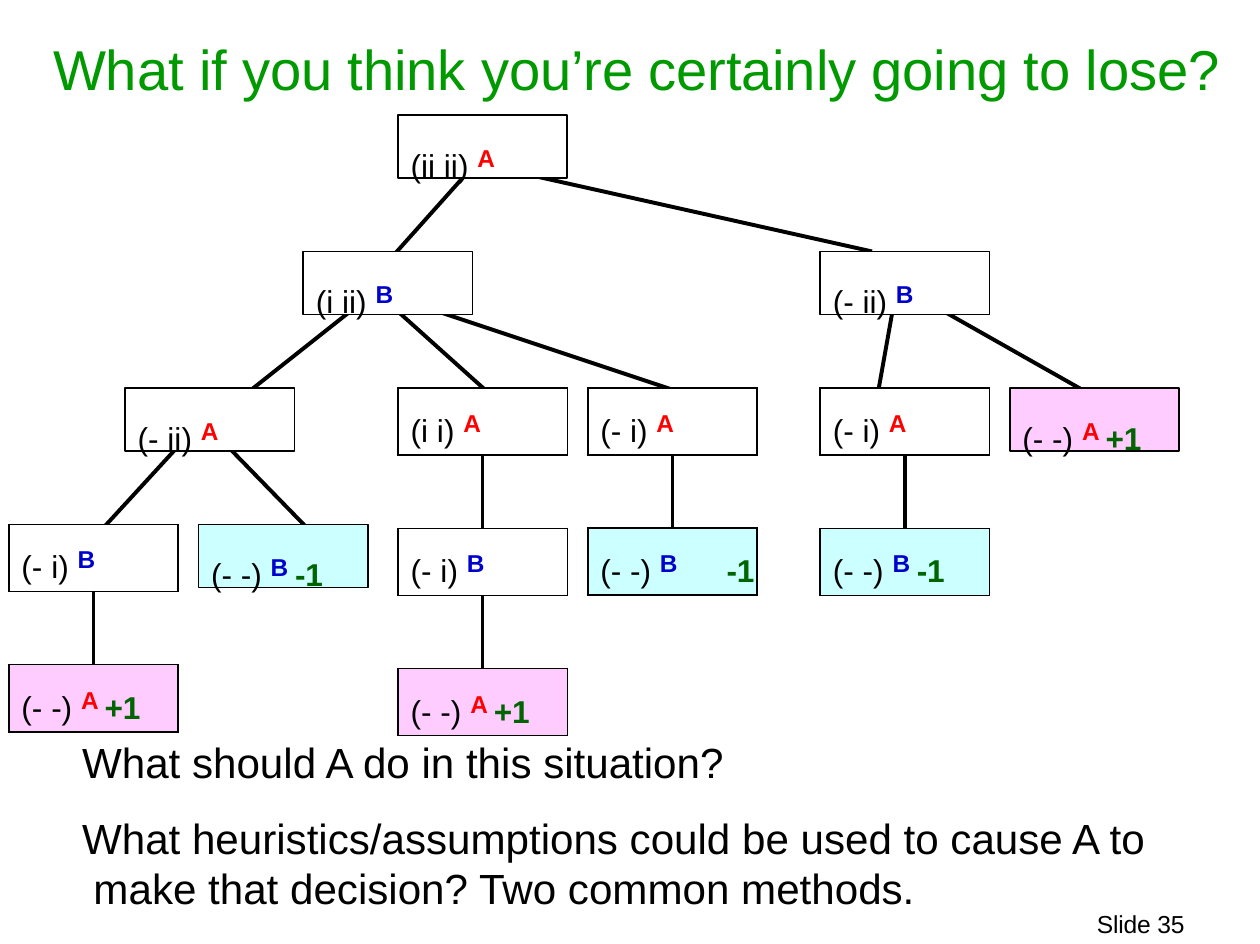
from lxml import etree
from pptx import Presentation
from pptx import util as u
from pptx.dml.color import RGBColor
from pptx.enum import shapes, text
from pptx.oxml import ns

BLACK = RGBColor(0x01, 0x01, 0x01)
WHITE = RGBColor(0xFF, 0xFF, 0xFF)
GREEN = RGBColor(0x00, 0x9A, 0x00)
SCORE_GREEN = RGBColor(0x00, 0x65, 0x00)
PLAYER_COLOR = {"A": RGBColor(0xFF, 0x00, 0x00), "B": RGBColor(0x00, 0x00, 0xCC)}
SCORE_FILL = {"": WHITE, "+1": RGBColor(0xFF, 0xCC, 0xFF), "-1": RGBColor(0xCC, 0xFF, 0xFF)}

# Content
TITLE = "What if you think you’re certainly going to lose?"
QUESTIONS = [
    "What should A do in this situation?",
    "What heuristics/assumptions could be used to cause A to make that decision? "
    "Two common methods.",
]
FOOTER = "Slide 35"

# Single positions: left, tree level, (state, player, score)
POSITIONS = [
    (3.15, 0, ("(ii ii) ", "A", "")),
    (2.40, 1, ("(i ii) ", "B", "")),
    (6.49, 1, ("(- ii) ", "B", "")),
    (0.99, 2, ("(- ii) ", "A", "")),
    (7.99, 2, ("(- -) ", "A", "+1")),
    (1.57, 3, ("(- -) ", "B", "-1")),
]
# Forced moves: left, first level, border width, score tab, positions downwards
CHAINS = [
    (4.65, 2, 1.5, True, [("(- i) ", "A", ""), ("(- -) ", "B", "-1")]),
    (6.49, 2, 1, False, [("(- i) ", "A", ""), ("(- -) ", "B", "-1")]),
    (3.15, 2, 1, False, [("(i i) ", "A", ""), ("(- i) ", "B", ""), ("(- -) ", "A", "+1")]),
    (0.07, 3, 1, False, [("(- i) ", "B", ""), ("(- -) ", "A", "+1")]),
]
# Branches: x1, y1, x2, y2
BRANCHES = [
    (3.74, 1.32, 3.07, 2.07), (3.90, 1.32, 6.90, 1.99),
    (2.84, 2.41, 1.88, 3.17), (3.11, 2.43, 3.90, 3.14), (3.36, 2.43, 5.40, 3.11),
    (7.07, 2.42, 6.94, 3.15), (7.39, 2.42, 8.68, 3.15),
    (1.43, 3.51, 0.76, 4.24), (1.77, 3.50, 2.51, 4.26),
]

# Grid
TREE_TOP, LEVEL_STEP = 0.91, 1.08
BOX_W, BOX_H = 1.34, 0.5
BRANCH_PT = 2.25
NO_STYLE = "{2D5ABB26-0587-4C30-8999-92F81FD0307C}"

prs = Presentation()
prs.slide_width, prs.slide_height = u.Inches(9.97), u.Inches(7.47)
slide = prs.slides.add_slide(prs.slide_layouts[6])


def add_run(para, words, size, color, bold=False, raised=0, spacing=0):
    run = para.add_run()
    run.text = words
    run.font.name, run.font.size, run.font.bold = "Arial", u.Pt(size), bold
    run.font.color.rgb = color
    props = run._r.get_or_add_rPr()
    if raised:
        props.set("baseline", str(raised * 1000))
    if spacing:
        props.set("spc", str(spacing))


def indent(para, left, first=0):
    props = para._p.get_or_add_pPr()
    props.set("marL", str(u.Inches(left)))
    props.set("indent", str(u.Inches(first)))
    return props


def write_position(para, position, tabbed=False):
    state, player, score = position
    props = indent(para, 0.1)
    if tabbed:
        tabs = etree.SubElement(props, ns.qn("a:tabLst"))
        etree.SubElement(tabs, ns.qn("a:tab"), pos=str(u.Inches(1)), algn="l")
    para.alignment = text.PP_ALIGN.LEFT
    gap = "\t" if tabbed else " "
    add_run(para, state, 18, BLACK)
    add_run(para, player + (gap if score else ""), 24, PLAYER_COLOR[player], True, 24)
    if score:
        add_run(para, score, 18, SCORE_GREEN, True, spacing=-10)


def set_margins(holder, top):
    holder.margin_left = holder.margin_right = holder.margin_bottom = 0
    holder.margin_top = u.Inches(top)


def add_box(left, top, width, height, inset=0, wrap=True):
    frame = slide.shapes.add_textbox(*map(u.Inches, (left, top, width, height))).text_frame
    set_margins(frame, inset)
    frame.word_wrap = wrap
    return frame


def set_borders(cell, sides, width):
    props = cell._tc.get_or_add_tcPr()
    for side in sides:
        edge = etree.SubElement(props, ns.qn("a:ln" + side), w=str(u.Pt(width)))
        fill = etree.SubElement(edge, ns.qn("a:solidFill"))
        etree.SubElement(fill, ns.qn("a:srgbClr"), val=str(BLACK))


def add_position(left, level, position):
    top = TREE_TOP + level * LEVEL_STEP
    box = slide.shapes.add_shape(shapes.MSO_SHAPE.RECTANGLE,
                                 *map(u.Inches, (left, top, BOX_W, BOX_H)))
    box.shadow.inherit = False
    box.fill.solid()
    box.fill.fore_color.rgb = SCORE_FILL[position[2]]
    box.line.color.rgb, box.line.width = BLACK, u.Pt(1)
    set_margins(box.text_frame, 0.16)
    box.text_frame.vertical_anchor = text.MSO_ANCHOR.TOP
    write_position(box.text_frame.paragraphs[0], position)


def add_chain(left, level, border, tabbed, positions):
    rows = 2 * len(positions) - 1
    top = TREE_TOP + level * LEVEL_STEP
    height = BOX_H + (len(positions) - 1) * LEVEL_STEP
    table = slide.shapes.add_table(rows, 2, *map(u.Inches, (left, top, BOX_W, height))).table
    table.first_row = table.horz_banding = False
    table._tbl.tblPr.find(ns.qn("a:tableStyleId")).text = NO_STYLE
    for r in range(rows):
        west, east = table.cell(r, 0), table.cell(r, 1)
        if r % 2:  # the vertical branch between two positions
            table.rows[r].height = u.Inches(LEVEL_STEP - BOX_H)
            set_borders(west, "RTB", BRANCH_PT if border == 0 else border)
            west._tc.tcPr.find(ns.qn("a:lnR")).set("w", str(u.Pt(BRANCH_PT)))
            set_borders(east, "LTB", border)
            east._tc.tcPr.find(ns.qn("a:lnL")).set("w", str(u.Pt(BRANCH_PT)))
            west.fill.background()
            east.fill.background()
            continue
        position = positions[r // 2]
        table.rows[r].height = u.Inches(BOX_H)
        west.merge(east)
        set_borders(west, "LRTB", border)
        set_borders(east, "RTB", border)
        for cell in (west, east):
            cell.fill.solid()
            cell.fill.fore_color.rgb = SCORE_FILL[position[2]]
        set_margins(west, 0.13)
        write_position(west.text_frame.paragraphs[0], position, tabbed and bool(position[2]))


# Title
add_run(add_box(0.42, 0.27, 9.3, 0.56, wrap=False).paragraphs[0], TITLE, 32, GREEN, spacing=-10)

# Branches, under the positions
for branch in BRANCHES:
    line = slide.shapes.add_connector(shapes.MSO_CONNECTOR.STRAIGHT, *map(u.Inches, branch))
    line.line.color.rgb, line.line.width = BLACK, u.Pt(BRANCH_PT)
    etree.SubElement(line._element.spPr, ns.qn("a:effectLst"))

# Game tree
for entry in POSITIONS:
    add_position(*entry)
for entry in CHAINS:
    add_chain(*entry)

# Questions
questions = add_box(0.64, 5.6, 8.6, 1.63, inset=0.23)
for i, question in enumerate(QUESTIONS):
    para = questions.add_paragraph() if i else questions.paragraphs[0]
    indent(para, 0.1, -0.09)
    if i:
        para.space_before = u.Pt(14.3)
    add_run(para, question, 24, BLACK)

# Slide number
footer = add_box(8.68, 7.2, 0.74, 0.25, wrap=False).paragraphs[0]
footer.line_spacing = u.Pt(16.4)
add_run(footer, FOOTER, 14, BLACK, spacing=-10)

prs.save("out.pptx")
